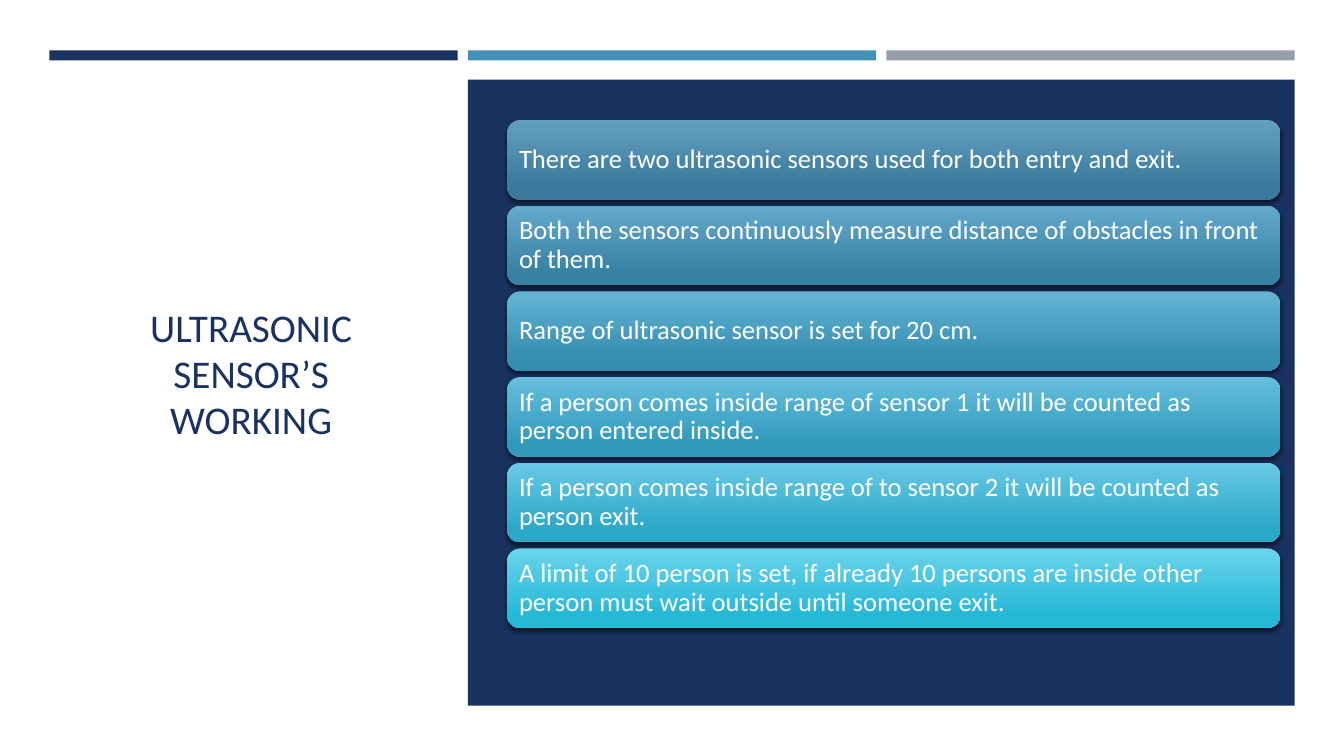
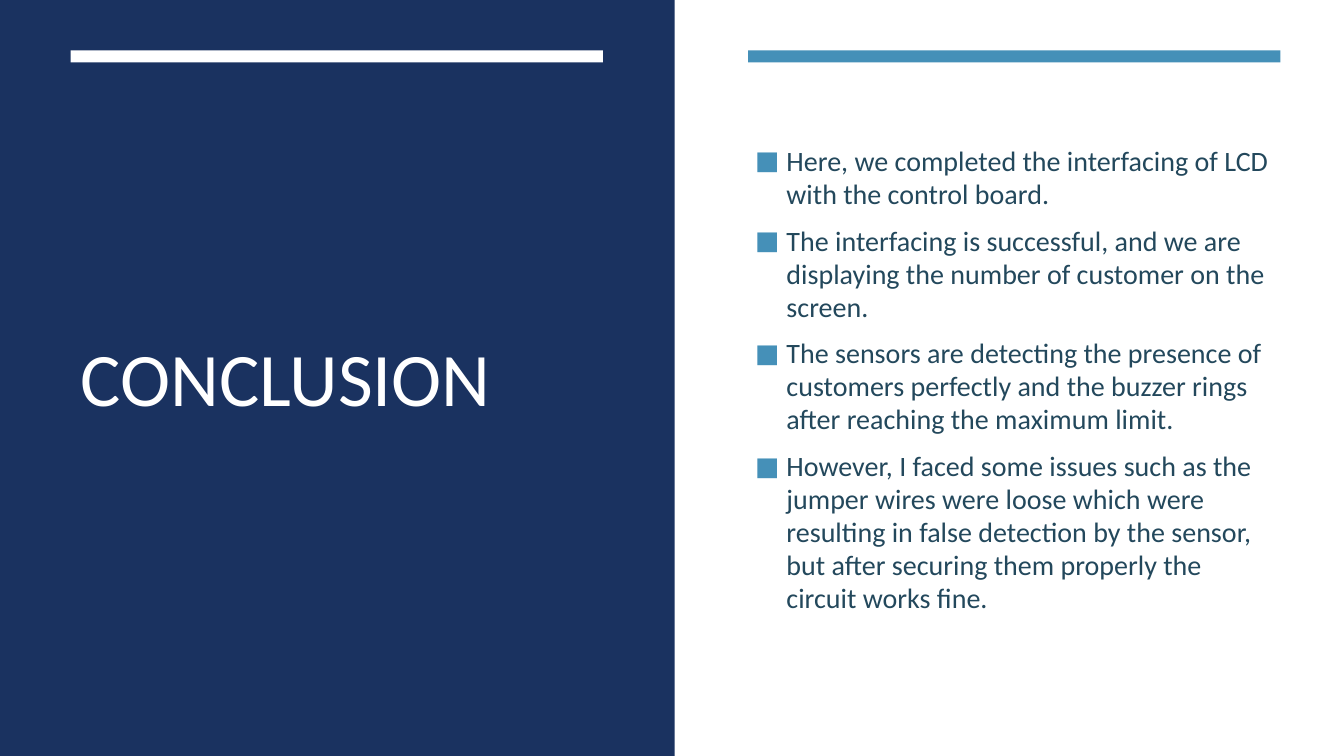
from dataclasses import dataclass

import lxml.etree
import pptx
import pptx.dml.color
import pptx.enum.shapes
import pptx.enum.text
import pptx.oxml
import pptx.oxml.ns
import pptx.presentation
import pptx.shapes.autoshape
import pptx.slide
import pptx.text.text
import pptx.util

Inches = pptx.util.Inches
Pt = pptx.util.Pt
RGBColor = pptx.dml.color.RGBColor
SHAPE = pptx.enum.shapes.MSO_SHAPE
ALIGN = pptx.enum.text.PP_ALIGN
qn = pptx.oxml.ns.qn

FONT = "Calibri"
NAVY = RGBColor(0x1A, 0x32, 0x60)
BLUE = RGBColor(0x45, 0x90, 0xB8)
GREY = RGBColor(0x96, 0x9F, 0xA7)
WHITE = RGBColor(0xFF, 0xFF, 0xFF)
TEXT = RGBColor(0x23, 0x48, 0x5C)
LINE_SPACING = 0.98
BAR_TOP = 0.5


@dataclass(frozen=True)
class Box:
    left: float
    top: float
    width: float
    height: float

    def lengths(self) -> tuple[int, int, int, int]:
        return (Inches(self.left), Inches(self.top),
                Inches(self.width), Inches(self.height))


@dataclass(frozen=True)
class Step:
    text: str
    light: RGBColor
    dark: RGBColor


STEPS = [
    Step("There are two ultrasonic sensors used for both entry and exit.",
         RGBColor(0x63, 0x9F, 0xC1), RGBColor(0x3A, 0x79, 0x9B)),
    Step("Both the sensors continuously measure distance of obstacles in front of them.",
         RGBColor(0x63, 0xA9, 0xCC), RGBColor(0x38, 0x82, 0xA4)),
    Step("Range of ultrasonic sensor is set for 20 cm.",
         RGBColor(0x64, 0xB4, 0xD5), RGBColor(0x36, 0x8D, 0xAF)),
    Step("If a person comes inside range of sensor 1 it will be counted as "
         "person entered inside.",
         RGBColor(0x66, 0xBF, 0xDD), RGBColor(0x31, 0x9A, 0xBC)),
    Step("If a person comes inside range of to sensor 2 it will be counted as person exit.",
         RGBColor(0x68, 0xC9, 0xE5), RGBColor(0x2C, 0xA8, 0xC9)),
    Step("A limit of 10 person is set, if already 10 persons are inside other "
         "person must wait outside until someone exit.",
         RGBColor(0x6B, 0xD4, 0xEC), RGBColor(0x26, 0xB8, 0xD7)),
]

CONCLUSIONS = [
    "Here, we completed the interfacing of LCD with the control board.",
    "The interfacing is successful, and we are displaying the number of "
    "customer on the screen.",
    "The sensors are detecting the presence of customers perfectly and the "
    "buzzer rings after reaching the maximum limit.",
    "However, I faced some issues such as the jumper wires were loose which "
    "were resulting in false detection by the sensor, but after securing them "
    "properly the circuit works fine.",
]


def add_run(p: pptx.text.text._Paragraph, text: str, size: float, color: RGBColor) -> None:
    r = p.add_run()
    r.text = text
    r.font.name = FONT
    r.font.size = Pt(size)
    r.font.color.rgb = color


def place(sp: pptx.shapes.autoshape.Shape, box: Box) -> pptx.text.text.TextFrame:
    """Move a placeholder and return its text frame, centred vertically."""
    sp.left, sp.top, sp.width, sp.height = box.lengths()
    tf = sp.text_frame
    tf.word_wrap = True
    tf.auto_size = pptx.enum.text.MSO_AUTO_SIZE.NONE
    tf.vertical_anchor = pptx.enum.text.MSO_ANCHOR.MIDDLE
    return tf


def set_title(s: pptx.slide.Slide, text: str, box: Box, size: float,
              color: RGBColor, align: ALIGN) -> None:
    p = place(s.shapes.title, box).paragraphs[0]
    p.alignment = align
    p.line_spacing = LINE_SPACING
    add_run(p, text, size, color)


def add_block(s: pptx.slide.Slide, box: Box, color: RGBColor) -> pptx.shapes.autoshape.Shape:
    sp = s.shapes.add_shape(SHAPE.RECTANGLE, *box.lengths())
    sp.shadow.inherit = False
    sp.fill.solid()
    sp.fill.fore_color.rgb = color
    sp.line.fill.background()
    return sp


def add_soft_shadow(sp: pptx.shapes.autoshape.Shape) -> None:
    sp.shadow.inherit = False
    effects = sp.element.spPr.find(qn("a:effectLst"))
    shadow = lxml.etree.SubElement(
        effects, qn("a:outerShdw"), blurRad=str(Pt(3)), dist=str(Pt(2)),
        dir="5400000", algn="ctr", rotWithShape="0")
    color = lxml.etree.SubElement(shadow, qn("a:srgbClr"), val="000000")
    lxml.etree.SubElement(color, qn("a:alpha"), val="55000")


def add_step(s: pptx.slide.Slide, step: Step, box: Box) -> None:
    sp = s.shapes.add_shape(SHAPE.ROUNDED_RECTANGLE, *box.lengths())
    sp.fill.gradient()
    sp.fill.gradient_angle = 270
    for stop, color, position in zip(sp.fill.gradient_stops,
                                     (step.light, step.dark), (0, 0.84)):
        stop.color.rgb = color
        stop.position = position
    sp.line.fill.background()
    add_soft_shadow(sp)
    tf = sp.text_frame
    tf.word_wrap = True
    tf.vertical_anchor = pptx.enum.text.MSO_ANCHOR.MIDDLE
    tf.margin_left = tf.margin_right = tf.margin_top = tf.margin_bottom = Inches(0.08)
    p = tf.paragraphs[0]
    p.alignment = ALIGN.LEFT
    p.line_spacing = 0.9
    add_run(p, step.text, 19, WHITE)


def set_square_bullet(p: pptx.text.text._Paragraph) -> None:
    pPr = p._p.get_or_add_pPr()
    pPr.set("marL", str(Inches(0.31)))
    pPr.set("indent", str(-Inches(0.31)))
    bullet_color = lxml.etree.SubElement(pPr, qn("a:buClr"))
    lxml.etree.SubElement(bullet_color, qn("a:srgbClr"), val=str(BLUE))
    lxml.etree.SubElement(pPr, qn("a:buSzPct"), val="92000")
    lxml.etree.SubElement(pPr, qn("a:buFont"), typeface=FONT)
    lxml.etree.SubElement(pPr, qn("a:buChar"), char="■")


def build_working_slide(prs: pptx.presentation.Presentation) -> None:
    s = prs.slides.add_slide(prs.slide_layouts[5])
    set_title(s, "ULTRASONIC SENSOR’S WORKING", Box(0.82, 1.14, 3.34, 5.15),
              28, NAVY, ALIGN.CENTER)
    for i, color in enumerate((NAVY, BLUE, GREY)):
        add_block(s, Box(0.49 + i * 4.15, BAR_TOP, 4.05, 0.1), color)
    add_block(s, Box(4.64, 0.79, 8.2, 6.21), NAVY)
    for i, step in enumerate(STEPS):
        add_step(s, step, Box(5.03, 1.19 + i * 0.85, 7.67, 0.79))


def build_conclusion_slide(prs: pptx.presentation.Presentation) -> None:
    s = prs.slides.add_slide(prs.slide_layouts[1])
    panel = add_block(s, Box(0, 0, 6.69, 7.5), NAVY)
    s.shapes.element.insert(2, panel.element)  # behind the title
    set_title(s, "CONCLUSION", Box(0.7, 1.13, 5.28, 5.28), 54, WHITE, ALIGN.LEFT)
    for left, color in ((0.7, WHITE), (7.42, BLUE)):
        add_block(s, Box(left, BAR_TOP, 5.28, 0.12), color)
    tf = place(s.placeholders[1], Box(7.39, 1.13, 5.31, 5.28))
    for i, text in enumerate(CONCLUSIONS):
        p = tf.add_paragraph() if i else tf.paragraphs[0]
        p.line_spacing = LINE_SPACING
        p.space_before = Pt(4)
        p.space_after = Pt(6)
        set_square_bullet(p)
        add_run(p, text, 20, TEXT)


def main() -> None:
    prs = pptx.Presentation()
    prs.slide_width = Inches(13.33)
    prs.slide_height = Inches(7.5)
    build_working_slide(prs)
    build_conclusion_slide(prs)
    prs.save("out.pptx")


if __name__ == "__main__":
    main()
